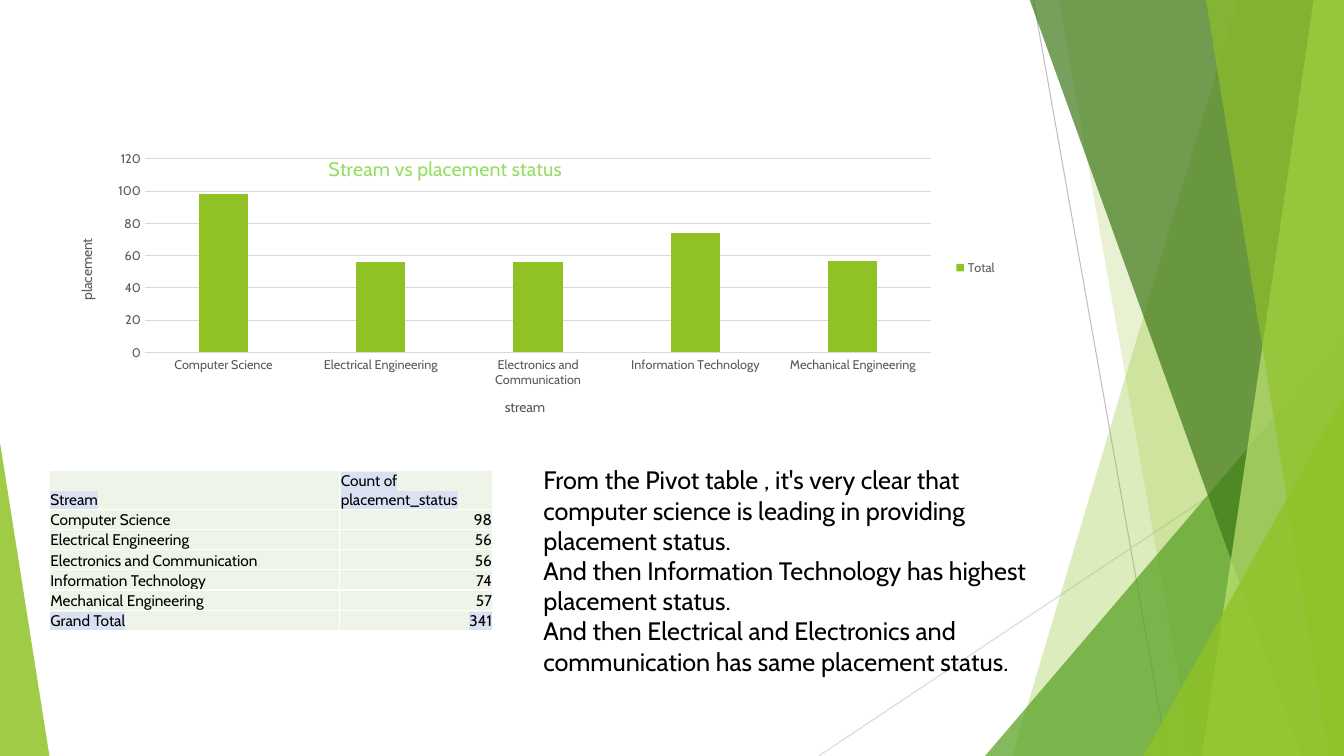
"""Build the stream versus placement status slide."""
from lxml.etree import SubElement
from pptx import Presentation
from pptx.chart.data import CategoryChartData
from pptx.dml.color import RGBColor
from pptx.enum.chart import XL_CHART_TYPE, XL_LEGEND_POSITION, XL_TICK_MARK
from pptx.enum.shapes import MSO_CONNECTOR, MSO_SHAPE
from pptx.enum.text import MSO_ANCHOR, PP_ALIGN
from pptx.oxml import parse_xml
from pptx.oxml.ns import nsdecls, qn
from pptx.util import Inches, Pt

FONT = "Cabin"
BLACK = RGBColor(0x00, 0x00, 0x00)
WHITE = RGBColor(0xFF, 0xFF, 0xFF)
GRAY = RGBColor(0x59, 0x59, 0x59)
MID_GRAY = RGBColor(0xBF, 0xBF, 0xBF)
LIGHT_GRAY = RGBColor(0xD9, 0xD9, 0xD9)
LIME = RGBColor(0x90, 0xC2, 0x26)
GREEN = RGBColor(0x54, 0xA0, 0x21)
DARK_GREEN = RGBColor(0x3F, 0x78, 0x19)
PALE_LIME = RGBColor(0xC0, 0xE4, 0x74)
TITLE_GREEN = RGBColor(0x94, 0xDE, 0x61)
CELL_GREEN = RGBColor(0xEE, 0xF4, 0xE8)
HIGHLIGHT = RGBColor(0xD9, 0xE1, 0xF2)

WIDTH, HEIGHT = 13.33, 7.5
BLEED_TOP = -0.01


def style_font(font, size, color):
    font.name = FONT
    font.size = Pt(size)
    font.bold = False
    font.color.rgb = color


def paint(shape, color, opacity):
    shape.shadow.inherit = False
    shape.line.fill.background()
    shape.fill.solid()
    shape.fill.fore_color.rgb = color
    fill_color = shape.fill._xPr.find(qn("a:solidFill"))[0]
    SubElement(fill_color, qn("a:alpha")).set("val", str(opacity * 1000))


presentation = Presentation()
presentation.slide_width = Inches(WIDTH)
presentation.slide_height = Inches(HEIGHT)
slide = presentation.slides.add_slide(presentation.slide_layouts[6])
shapes = slide.shapes

for start_x, start_y, end_x, color in [
    (10.25, 0, 11.58, MID_GRAY),
    (WIDTH, 4.03, 8.12, LIGHT_GRAY),
]:
    line = shapes.add_connector(
        MSO_CONNECTOR.STRAIGHT,
        Inches(start_x), Inches(start_y), Inches(end_x), Inches(HEIGHT),
    )
    line.line.color.rgb = color
    line.line.width = Pt(0.75)
    SubElement(line._element.spPr, qn("a:effectLst"))

decorations = [
    ("panel", 12.28, 10.04, LIME, 30),
    ("panel", 10.5, 11.83, LIME, 20),
    ("triangle", (9.77, 3.33, 3.56), 1, GREEN, 72),
    ("panel", 10.21, 12.91, DARK_GREEN, 70),
    ("panel", 13.03, 11.92, PALE_LIME, 70),
    ("panel", 11.96, 13.18, LIME, 65),
    ("triangle", (11.34, 3.93, 1.99), 1, LIME, 80),
    ("triangle", (0, 4.39, 0.49), 0, LIME, 85),
]
for kind, position, end, color, opacity in decorations:
    if kind == "panel":
        builder = shapes.build_freeform(Inches(position), Inches(BLEED_TOP))
        corners = [(WIDTH, BLEED_TOP), (WIDTH, HEIGHT), (end, HEIGHT)]
        builder.add_line_segments([(Inches(x), Inches(y)) for x, y in corners])
        shape = builder.convert_to_shape()
    else:
        left, top, width = position
        shape = shapes.add_shape(
            MSO_SHAPE.ISOSCELES_TRIANGLE,
            Inches(left), Inches(top), Inches(width), Inches(HEIGHT - top),
        )
        shape.adjustments[0] = end
    paint(shape, color, opacity)

placements = {
    "Computer Science": 98,
    "Electrical Engineering": 56,
    "Electronics and Communication": 56,
    "Information Technology": 74,
    "Mechanical Engineering": 57,
}
chart_data = CategoryChartData()
chart_data.categories = list(placements)
chart_data.add_series("Total", list(placements.values()))
chart = shapes.add_chart(
    XL_CHART_TYPE.COLUMN_CLUSTERED,
    Inches(0.59), Inches(0.97), Inches(9.4), Inches(3.37), chart_data,
).chart
style_font(chart.font, 10, BLACK)
chart.has_title = True
title_frame = chart.chart_title.text_frame
title_frame.text = "Stream vs placement status"
style_font(title_frame.paragraphs[0].runs[0].font, 14, TITLE_GREEN)
chart.has_legend = True
chart.legend.position = XL_LEGEND_POSITION.RIGHT
chart.legend.include_in_layout = False
style_font(chart.legend.font, 9, GRAY)

plot = chart.plots[0]
plot.vary_by_categories = False
plot.gap_width = 219
plot.overlap = -27
series_fill = plot.series[0].format.fill
series_fill.solid()
series_fill.fore_color.rgb = LIME

for axis, label in [(chart.category_axis, "stream"), (chart.value_axis, "placement")]:
    axis.major_tick_mark = XL_TICK_MARK.NONE
    axis.minor_tick_mark = XL_TICK_MARK.NONE
    style_font(axis.tick_labels.font, 9, GRAY)
    axis.axis_title.text_frame.text = label
    style_font(axis.axis_title.text_frame.paragraphs[0].runs[0].font, 10, GRAY)
value_axis = chart.value_axis
value_axis.minimum_scale = 0
value_axis.maximum_scale = 120
value_axis.major_unit = 20
value_axis.format.line.fill.background()
for line_format in (chart.category_axis.format.line, value_axis.major_gridlines.format.line):
    line_format.color.rgb = LIGHT_GRAY
    line_format.width = Pt(0.75)

chart_element = chart._chartSpace.chart
layouts = [
    (chart_element.find(qn("c:title")), 1,
     {"xMode": "edge", "yMode": "edge", "x": 0.28, "y": 0.16}),
    (chart_element.plotArea, 0,
     {"layoutTarget": "inner", "xMode": "edge", "yMode": "edge",
      "x": 0.09, "y": 0.18, "w": 0.83, "h": 0.57}),
]
for parent, index, settings in layouts:
    for old_layout in parent.findall(qn("c:layout")):
        parent.remove(old_layout)
    layout = parse_xml(f"<c:layout {nsdecls('c')}><c:manualLayout/></c:layout>")
    for name, value in settings.items():
        SubElement(layout[0], qn(f"c:{name}")).set("val", str(value))
    parent.insert(index, layout)

rows = [
    ("Stream", "Count of placement_status"),
    *placements.items(),
    ("Grand Total", sum(placements.values())),
]
table = shapes.add_table(
    len(rows), 2, Inches(0.49), Inches(4.67), Inches(4.4), Inches(1.58)
).table
table.first_row = False
table.horz_banding = False
table.columns[0].width = Inches(2.88)
table.columns[1].width = Inches(1.52)
for row_index, row in enumerate(rows):
    table.rows[row_index].height = Inches(0.2 if row_index else 0.38)
    for column_index, value in enumerate(row):
        cell = table.cell(row_index, column_index)
        cell.text_frame.text = str(value)
        cell.vertical_anchor = MSO_ANCHOR.BOTTOM
        cell.margin_left = cell.margin_top = cell.margin_right = Inches(0.01)
        cell.margin_bottom = 0
        cell.fill.solid()
        cell.fill.fore_color.rgb = CELL_GREEN
        paragraph = cell.text_frame.paragraphs[0]
        if row_index and column_index:
            paragraph.alignment = PP_ALIGN.RIGHT
        run = paragraph.runs[0]
        style_font(run.font, 11, BLACK)
        if row_index in (0, len(rows) - 1):
            run.font._element.find(qn("a:solidFill")).addnext(parse_xml(
                f'<a:highlight {nsdecls("a")}><a:srgbClr val="{HIGHLIGHT}"/></a:highlight>'
            ))
        for side_index, side in enumerate("LRTB"):
            cell._tc.tcPr.insert(side_index, parse_xml(
                f'<a:ln{side} {nsdecls("a")} w="12700"><a:solidFill>'
                f'<a:srgbClr val="{WHITE}"/></a:solidFill></a:ln{side}>'
            ))

findings = shapes.add_textbox(Inches(5.29), Inches(4.56), Inches(5.32), Inches(2.22))
findings.text_frame.word_wrap = True
findings.text_frame.text = "\n".join([
    "From the Pivot table , it's very clear that computer science is leading in providing placement status.",
    "And then Information Technology has highest placement status.",
    "And then Electrical and Electronics and communication has same placement status.",
])
for paragraph in findings.text_frame.paragraphs:
    style_font(paragraph.runs[0].font, 18, BLACK)

presentation.save("out.pptx")
